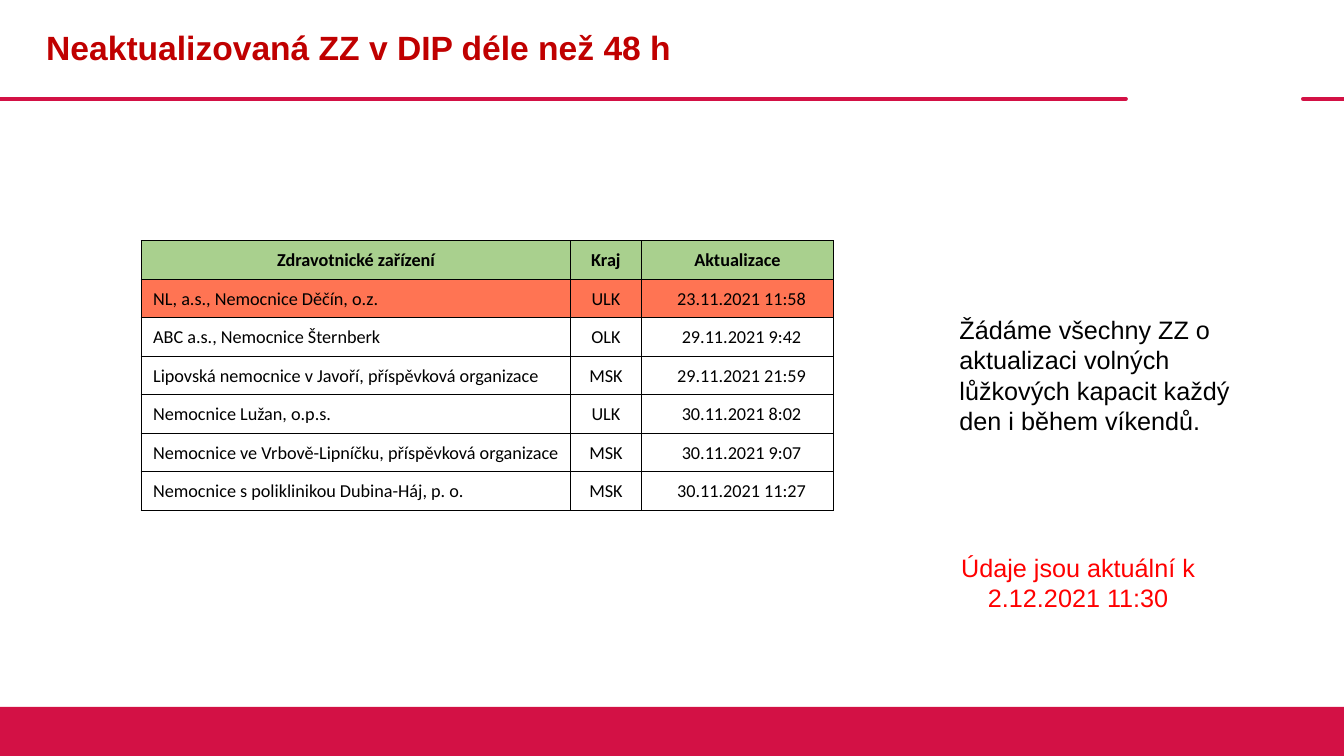
from dataclasses import dataclass

from lxml import etree
from pptx import Presentation
from pptx.dml.color import RGBColor
from pptx.enum.shapes import MSO_CONNECTOR, MSO_SHAPE
from pptx.enum.text import MSO_ANCHOR, MSO_AUTO_SIZE, PP_ALIGN
from pptx.oxml.ns import qn
from pptx.slide import Slide
from pptx.table import _Cell
from pptx.text.text import TextFrame
from pptx.util import Cm, Pt

LEFT, CENTER = PP_ALIGN.LEFT, PP_ALIGN.CENTER
MIDDLE = MSO_ANCHOR.MIDDLE
COLORS = {
    "band": "D31145",
    "title": "C00000",
    "alert": "FF0000",
    "text": "000000",
    "header": "A9D08E",
    "overdue": "FF7453",
}
SLIDE_W, SLIDE_H = 33.87, 19.05
RULE_Y = 2.49
BAND_H = 1.24
ROW_H = 0.97


@dataclass
class Note:
    top: float
    width: float
    height: float
    text: str
    color: str
    align: PP_ALIGN


@dataclass
class Column:
    heading: str
    width: float
    align: PP_ALIGN
    left_inset: float


@dataclass
class Facility:
    name: str
    region: str
    updated: str
    fill: str | None = None


RULES = [(0, 28.37), (32.84, SLIDE_W)]
NOTES = [
    Note(13.79, 6.48, 1.8, "Údaje jsou aktuální k 2.12.2021 11:30", "alert", CENTER),
    Note(7.8, 7.59, 3.33, "Žádáme všechny ZZ o aktualizaci volných lůžkových "
         "kapacit každý den i během víkendů.", "text", LEFT),
]
COLUMNS = [
    Column("Zdravotnické zařízení", 10.82, LEFT, 0.3),
    Column("Kraj", 1.78, CENTER, 0.03),
    Column("Aktualizace", 4.85, CENTER, 0.23),
]
FACILITIES = [
    Facility("NL, a.s., Nemocnice Děčín, o.z.", "ULK", "23.11.2021 11:58", "overdue"),
    Facility("ABC a.s., Nemocnice Šternberk", "OLK", "29.11.2021 9:42"),
    Facility("Lipovská nemocnice v Javoří, příspěvková organizace", "MSK", "29.11.2021 21:59"),
    Facility("Nemocnice Lužan, o.p.s.", "ULK", "30.11.2021 8:02"),
    Facility("Nemocnice ve Vrbově-Lipníčku, příspěvková organizace", "MSK", "30.11.2021 9:07"),
    Facility("Nemocnice s poliklinikou Dubina-Háj, p. o.", "MSK", "30.11.2021 11:27"),
]


def rgb(name: str) -> RGBColor:
    return RGBColor.from_string(COLORS[name])


def write(tf: TextFrame, text: str, size: float, font: str, color: str,
          align: PP_ALIGN = LEFT, bold: bool = False) -> None:
    p = tf.paragraphs[0]
    p.alignment = align
    r = p.add_run()
    r.text = text
    r.font.size, r.font.name, r.font.bold = Pt(size), font, bold
    r.font.color.rgb = rgb(color)


def add_rule(s: Slide, start: float, end: float) -> None:
    line = s.shapes.add_connector(MSO_CONNECTOR.STRAIGHT, Cm(start), Cm(RULE_Y),
                                  Cm(end), Cm(RULE_Y))
    line.line.color.rgb = rgb("band")
    line.line.width = Pt(3)
    props = line._element.spPr
    props.find(qn("a:ln")).set("cap", "rnd")
    etree.SubElement(props, qn("a:effectLst"))


def add_band(s: Slide) -> None:
    band = s.shapes.add_shape(MSO_SHAPE.RECTANGLE, 0, Cm(SLIDE_H - BAND_H),
                              Cm(SLIDE_W), Cm(BAND_H))
    band.shadow.inherit = False
    band.fill.solid()
    band.fill.fore_color.rgb = rgb("band")
    band.line.fill.background()


def set_title(s: Slide, text: str) -> None:
    title = s.shapes.title
    title.left, title.top, title.width, title.height = Cm(0.91), 0, Cm(27.46), Cm(RULE_Y)
    tf = title.text_frame
    tf.vertical_anchor = MIDDLE
    write(tf, text, 24, "Arial", "title", bold=True)
    tf.paragraphs[0].line_spacing = 0.9


def add_note(s: Slide, note: Note) -> None:
    box = s.shapes.add_textbox(Cm(23.93), Cm(note.top), Cm(note.width), Cm(note.height))
    tf = box.text_frame
    tf.word_wrap = True
    tf.auto_size = MSO_AUTO_SIZE.SHAPE_TO_FIT_TEXT
    write(tf, note.text, 18, "Arial", note.color, note.align)


def add_borders(cell: _Cell) -> None:
    """Draw the four cell edges; they must come before the fill in the XML."""
    props = cell._tc.get_or_add_tcPr()
    for edge in ("a:lnL", "a:lnR", "a:lnT", "a:lnB"):
        ln = etree.SubElement(props, qn(edge), w=str(Pt(1)))
        fill = etree.SubElement(ln, qn("a:solidFill"))
        etree.SubElement(fill, qn("a:srgbClr"), val=COLORS["text"])


def fill_cell(cell: _Cell, text: str, align: PP_ALIGN, left_inset: float,
              fill: str | None, bold: bool) -> None:
    cell.vertical_anchor = MIDDLE
    cell.margin_left, cell.margin_right = Cm(left_inset), Cm(0.03)
    cell.margin_top, cell.margin_bottom = Cm(0.03), 0
    add_borders(cell)
    if fill:
        cell.fill.solid()
        cell.fill.fore_color.rgb = rgb(fill)
    else:
        cell.fill.background()
    write(cell.text_frame, text, 13, "Calibri", "text", align, bold)


def add_facility_table(s: Slide) -> None:
    rows = len(FACILITIES) + 1
    width = sum(column.width for column in COLUMNS)
    table = s.shapes.add_table(rows, len(COLUMNS), Cm(3.56), Cm(6.07),
                               Cm(width), Cm(ROW_H * rows)).table
    table.horz_banding = False
    for row in table.rows:
        row.height = Cm(ROW_H)
    for c, column in enumerate(COLUMNS):
        table.columns[c].width = Cm(column.width)
        fill_cell(table.cell(0, c), column.heading, CENTER, 0.03, "header", True)
    for i, facility in enumerate(FACILITIES, start=1):
        values = (facility.name, facility.region, facility.updated)
        for c, (column, value) in enumerate(zip(COLUMNS, values)):
            fill_cell(table.cell(i, c), value, column.align, column.left_inset,
                      facility.fill, False)


def main() -> None:
    prs = Presentation()
    prs.slide_width, prs.slide_height = Cm(SLIDE_W), Cm(SLIDE_H)
    s = prs.slides.add_slide(prs.slide_layouts[5])
    for start, end in RULES:
        add_rule(s, start, end)
    add_band(s)
    set_title(s, "Neaktualizovaná ZZ v DIP déle než 48 h")
    for note in NOTES:
        add_note(s, note)
    add_facility_table(s)
    prs.save("out.pptx")


if __name__ == "__main__":
    main()
